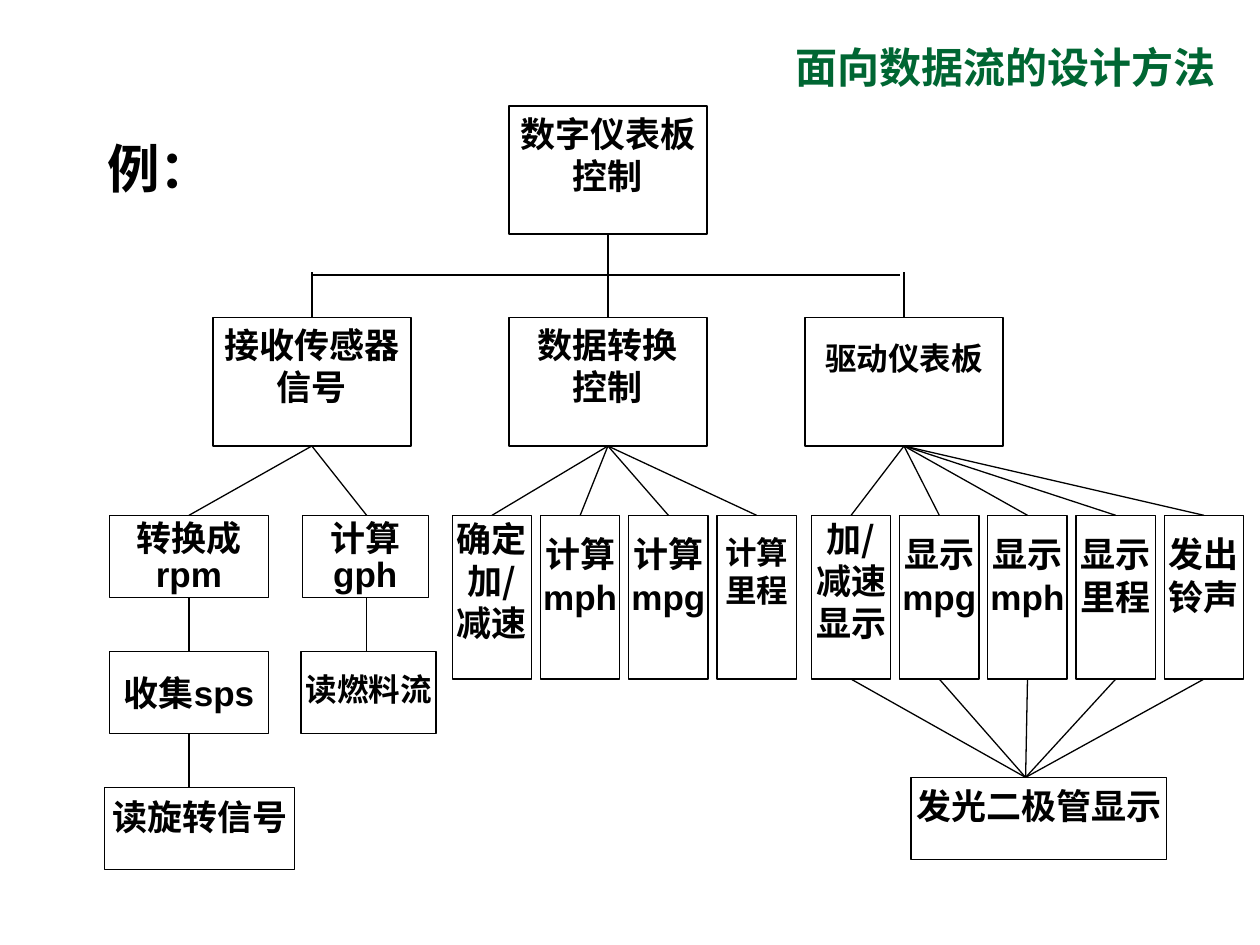
from lxml import etree
from pptx import Presentation
from pptx.dml.color import RGBColor
from pptx.enum import shapes, text
from pptx.oxml.ns import qn
from pptx.util import Inches, Pt

COLORS = {"title": "006633", "ink": "000000"}
CJK = "Noto Sans CJK SC"

prs = Presentation()
prs.slide_width, prs.slide_height = Inches(10), Inches(7.5)
s = prs.slides.add_slide(prs.slide_layouts[1])


def write(sp, lines, size, align, side, top, font="Arial", color="ink", spacing=1):
    """Fill a shape with bold paragraphs; each line is a list of (text, font) runs or a string."""
    tf = sp.text_frame
    tf.word_wrap = True
    tf.auto_size = text.MSO_AUTO_SIZE.NONE
    tf.vertical_anchor = text.MSO_ANCHOR.TOP
    tf.margin_left = tf.margin_right = Inches(side)
    tf.margin_top, tf.margin_bottom = Inches(top), Inches(0.01)
    for i, line in enumerate(lines):
        p = tf.paragraphs[0] if i == 0 else tf.add_paragraph()
        p.alignment = align
        p.line_spacing = Pt(round(size * 1.2 * spacing, 1))
        for words, face in [(line, font)] if isinstance(line, str) else line:
            r = p.add_run()
            r.text = words
            r.font.name, r.font.size, r.font.bold = face, Pt(size), True
            r.font.color.rgb = RGBColor.from_string(COLORS[color])
            etree.SubElement(r.font._element, qn("a:ea")).set("typeface", CJK)


def connect(x1, y1, x2, y2, width=0.75):
    c = s.shapes.add_connector(shapes.MSO_CONNECTOR.STRAIGHT,
                               Inches(x1), Inches(y1), Inches(x2), Inches(y2))
    c.line.color.rgb = RGBColor.from_string(COLORS["ink"])
    c.line.width = Pt(width)
    etree.SubElement(c._element.spPr, qn("a:effectLst"))


# Title and lead-in
title, body = s.shapes.title, s.placeholders[1]
for sp, (x, y, w, h) in ((title, (5.58, 0.25, 4.17, 0.42)), (body, (0.75, 1, 8.83, 0.67))):
    sp.left, sp.top, sp.width, sp.height = Inches(x), Inches(y), Inches(w), Inches(h)
write(title, ["面向数据流的设计方法"], 24, text.PP_ALIGN.RIGHT, 0.1, 0.08,
      "Times New Roman", "title")
write(body, ["例："], 30, text.PP_ALIGN.LEFT, 0.1, 0.08)
p = body.text_frame.paragraphs[0]
p.space_before = Pt(7.5)
pPr = p._p.get_or_add_pPr()
pPr.set("marL", str(Inches(0.38)))
pPr.set("indent", str(-Inches(0.38)))
etree.SubElement(pPr, qn("a:buNone"))

# Module boxes: left, top, width, height, line width, lines, size, top inset, spacing, font
MAIN_W, MAIN_H, MAIN_Y = 1.57, 1.02, 2.52
MAIN_X = [1.69, 4.04, 6.39]
LEAF_W, LEAF_H, LEAF_Y, LEAF_STEP = 0.63, 1.3, 4.09, 0.7
STEP_H, READ_Y = 0.65, 5.17
LED_X, LED_Y, LED_W = 7.23, 6.17, 2.03

boxes = [
    (MAIN_X[1], 0.84, MAIN_W, MAIN_H, 1, ["数字仪表板", "控制"], 20, 0.05, 1, "Arial"),
    (MAIN_X[0], MAIN_Y, MAIN_W, MAIN_H, 1, ["接收传感器", "信号"], 20, 0.05, 1, "Arial"),
    (MAIN_X[1], MAIN_Y, MAIN_W, MAIN_H, 1, ["数据转换", "控制"], 20, 0.05, 1, "Arial"),
    (MAIN_X[2], MAIN_Y, MAIN_W, MAIN_H, 1, ["驱动仪表板"], 18, 0.17, 1, "Arial"),
    (0.87, LEAF_Y, 1.26, STEP_H, 0.75, [[("转换成", CJK), ("rpm", "Arial")]], 20, 0.06, 0.85, CJK),
    (2.4, LEAF_Y, 1, STEP_H, 0.75, [[("计算", CJK), ("gph", "Arial")]], 20, 0.06, 0.85, CJK),
    (0.87, READ_Y, 1.26, STEP_H, 0.75, ["收集sps"], 20, 0.06, 1.3, "Arial"),
    (2.39, READ_Y, 1.07, STEP_H, 0.75, ["读燃料流"], 18, 0.06, 1.3, "Arial"),
    (0.83, 6.25, 1.51, STEP_H, 0.75, ["读旋转信号"], 20, 0.06, 1, "Arial"),
    (LED_X, LED_Y, LED_W, STEP_H, 0.75, ["发光二极管显示"], 20, 0.06, 1, "Arial"),
]

# Narrow leaf boxes under the second and third modules: lines, size, top inset, font
leaf_groups = [
    (3.59, [(["确定加/减速"], 20, 0.02, CJK),
            ([[("计算", CJK), ("mph", "Arial")]], 20, 0.14, CJK),
            (["计算mpg"], 20, 0.14, "Arial"),
            (["计算里程"], 18, 0.14, "Arial")]),
    (6.44, [([[("加/减速", CJK)], "显示"], 20, 0.02, "Arial"),
            (["显示mpg"], 20, 0.14, "Arial"),
            (["显示mph"], 20, 0.14, "Arial"),
            (["显示里程"], 20, 0.14, "Arial"),
            (["发出铃声"], 20, 0.14, "Arial")]),
]
for left, leaves in leaf_groups:
    for i, (lines, size, top, font) in enumerate(leaves):
        boxes.append((left + i * LEAF_STEP, LEAF_Y, LEAF_W, LEAF_H, 0.75,
                      lines, size, top, 1, font))

for x, y, w, h, width, lines, size, top, spacing, font in boxes:
    sp = s.shapes.add_shape(shapes.MSO_SHAPE.RECTANGLE,
                            Inches(x), Inches(y), Inches(w), Inches(h))
    sp.shadow.inherit = False
    sp.fill.background()
    sp.line.color.rgb = RGBColor.from_string(COLORS["ink"])
    sp.line.width = Pt(width)
    write(sp, lines, size, text.PP_ALIGN.CENTER, 0.02, top, font, spacing=spacing)

# Trunk from the root to the three modules
centers = [x + MAIN_W / 2 for x in MAIN_X]
connect(centers[1], 0.84 + MAIN_H, centers[1], MAIN_Y, 1)
connect(centers[0], 2.18, 7.14, 2.18, 1)
for x in (centers[0], centers[2]):
    connect(x, 2.16, x, MAIN_Y, 1)

# Fans from each module to its children
leaf_centers = [[left + i * LEAF_STEP + LEAF_W / 2 for i in range(len(leaves))]
                for left, leaves in leaf_groups]
for center, children in zip(centers, [[1.5, 2.91]] + leaf_centers):
    for x in children:
        connect(center, MAIN_Y + MAIN_H, x, LEAF_Y)

# Vertical chains on the left
for x, y1, y2 in ((1.5, LEAF_Y, READ_Y), (2.91, LEAF_Y, READ_Y), (1.5, READ_Y, 6.25)):
    connect(x, y1 + STEP_H, x, y2)

# Display leaves converge on the LED box
for x in leaf_centers[1]:
    connect(x, LEAF_Y + LEAF_H, 8.14, LED_Y)

prs.save("out.pptx")
